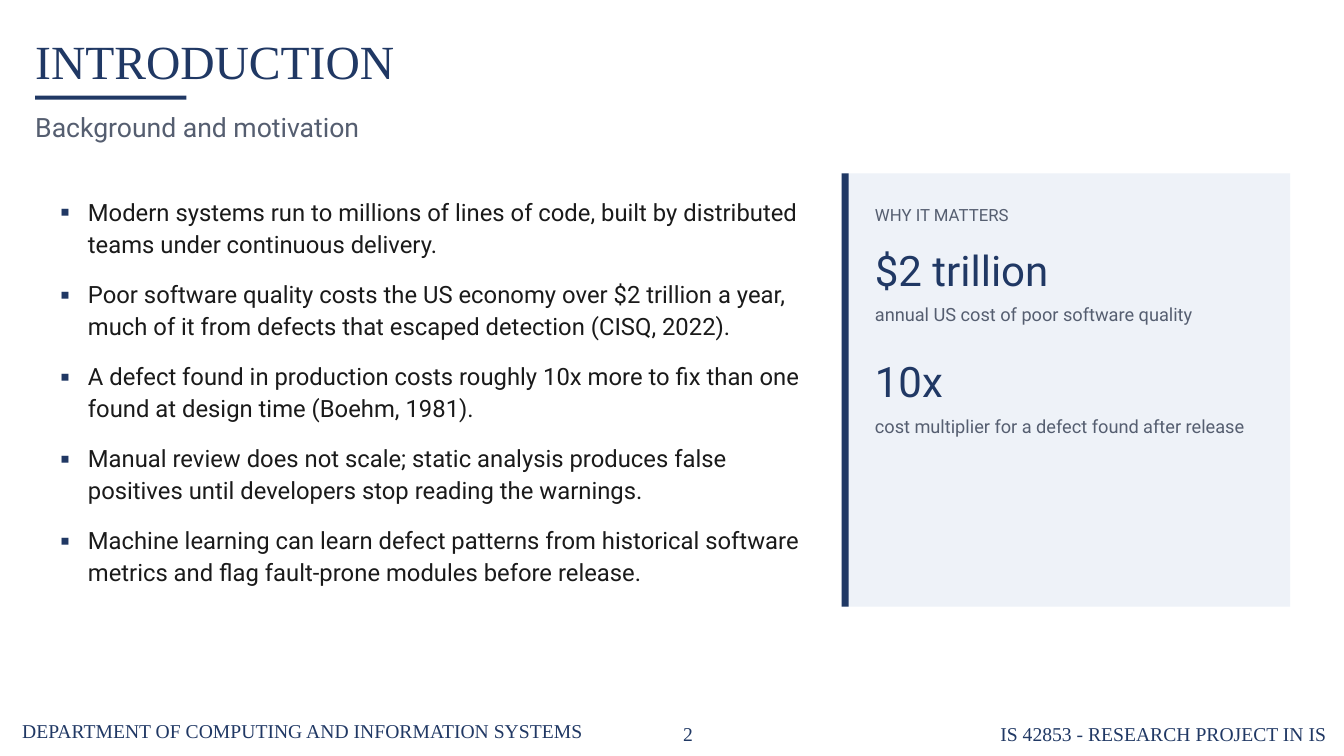
from lxml.etree import SubElement
from pptx import Presentation
from pptx.dml.color import RGBColor
from pptx.enum.shapes import MSO_SHAPE
from pptx.enum.text import MSO_ANCHOR, MSO_AUTO_SIZE, PP_ALIGN
from pptx.oxml.ns import qn
from pptx.util import Pt

HEX = {"navy": "203864", "gray": "555E70", "ink": "1A1A1A", "pale": "EEF2F8"}
SERIF, SANS = "Times New Roman", "Roboto"

deck = Presentation()
deck.slide_width, deck.slide_height = Pt(960), Pt(540)
slide = deck.slides.add_slide(deck.slide_layouts[6])


def add_box(left, top, width, height, anchor=MSO_ANCHOR.TOP):
    box = slide.shapes.add_textbox(Pt(left), Pt(top), Pt(width), Pt(height))
    frame = box.text_frame
    frame.margin_left = frame.margin_right = 0
    frame.margin_top = frame.margin_bottom = 0
    frame.word_wrap = True
    frame.auto_size = MSO_AUTO_SIZE.SHAPE_TO_FIT_TEXT
    frame.vertical_anchor = anchor
    return frame


def add_text(frame, text, size, font, color, lead=1.15, after=0):
    first = frame.paragraphs[0]
    para = frame.add_paragraph() if first.runs else first
    para.line_spacing = lead
    para.space_after = Pt(after)
    run = para.add_run()
    run.text = text
    run.font.size = Pt(size)
    run.font.name = font
    run.font.color.rgb = RGBColor.from_string(HEX[color])
    return para


# Footer
for text, left, top, width, height, align in [
    ("DEPARTMENT OF COMPUTING AND INFORMATION SYSTEMS",
     15.84, 511.2, 433.44, 23.04, PP_ALIGN.LEFT),
    ("IS 42853 - RESEARCH PROJECT IN IS",
     699.84, 513.36, 247.68, 20.16, PP_ALIGN.RIGHT),
    ("2", 460.08, 513.36, 62.64, 20.16, PP_ALIGN.CENTER),
]:
    foot = add_box(left, top, width, height)
    add_text(foot, text, 14, SERIF, "navy").alignment = align

# Heading
title = add_box(25.2, 14.4, 741.6, 51.84, MSO_ANCHOR.MIDDLE)
add_text(title, "INTRODUCTION", 34, SERIF, "navy")
lede = add_box(25.2, 75.6, 892.8, 31.68)
add_text(lede, "Background and motivation", 19, SANS, "gray")

# Title rule, card and card edge
for left, top, width, height, color in [
    (25.2, 68.4, 108, 2.88, "navy"),
    (601.2, 123.84, 320.4, 309.6, "pale"),
    (601.2, 123.84, 5.04, 309.6, "navy"),
]:
    bar = slide.shapes.add_shape(
        MSO_SHAPE.RECTANGLE, Pt(left), Pt(top), Pt(width), Pt(height))
    bar.shadow.inherit = False
    bar.fill.solid()
    bar.fill.fore_color.rgb = RGBColor.from_string(HEX[color])
    bar.line.fill.background()

# Bullet list
points = add_box(43.2, 138.6, 529.2, 330)
for text in [
    "Modern systems run to millions of lines of code, built by distributed "
    "teams under continuous delivery.",
    "Poor software quality costs the US economy over $2 trillion a year, "
    "much of it from defects that escaped detection (CISQ, 2022).",
    "A defect found in production costs roughly 10x more to fix than one "
    "found at design time (Boehm, 1981).",
    "Manual review does not scale; static analysis produces false "
    "positives until developers stop reading the warnings.",
    "Machine learning can learn defect patterns from historical software "
    "metrics and flag fault-prone modules before release.",
]:
    para = add_text(points, text, 17, SANS, "ink", 1.12, 13)
    props = para._p.get_or_add_pPr()
    props.set("marL", str(Pt(19.6)))
    props.set("indent", str(-Pt(19.6)))
    tint = SubElement(props, qn("a:buClr"))
    SubElement(tint, qn("a:srgbClr"), val=HEX["navy"])
    SubElement(props, qn("a:buFont"), typeface=SANS)
    SubElement(props, qn("a:buChar"), char="▪")

# Card text
card = add_box(624.96, 144, 277.2, 273.6)
add_text(card, "WHY IT MATTERS", 12, SANS, "gray", after=14)
for figure, label in [
    ("$2 trillion", "annual US cost of poor software quality"),
    ("10x", "cost multiplier for a defect found after release"),
]:
    add_text(card, figure, 30, SANS, "navy", 1, 3)
    add_text(card, label, 13, SANS, "gray", 1.2, 22)

deck.save("out.pptx")
